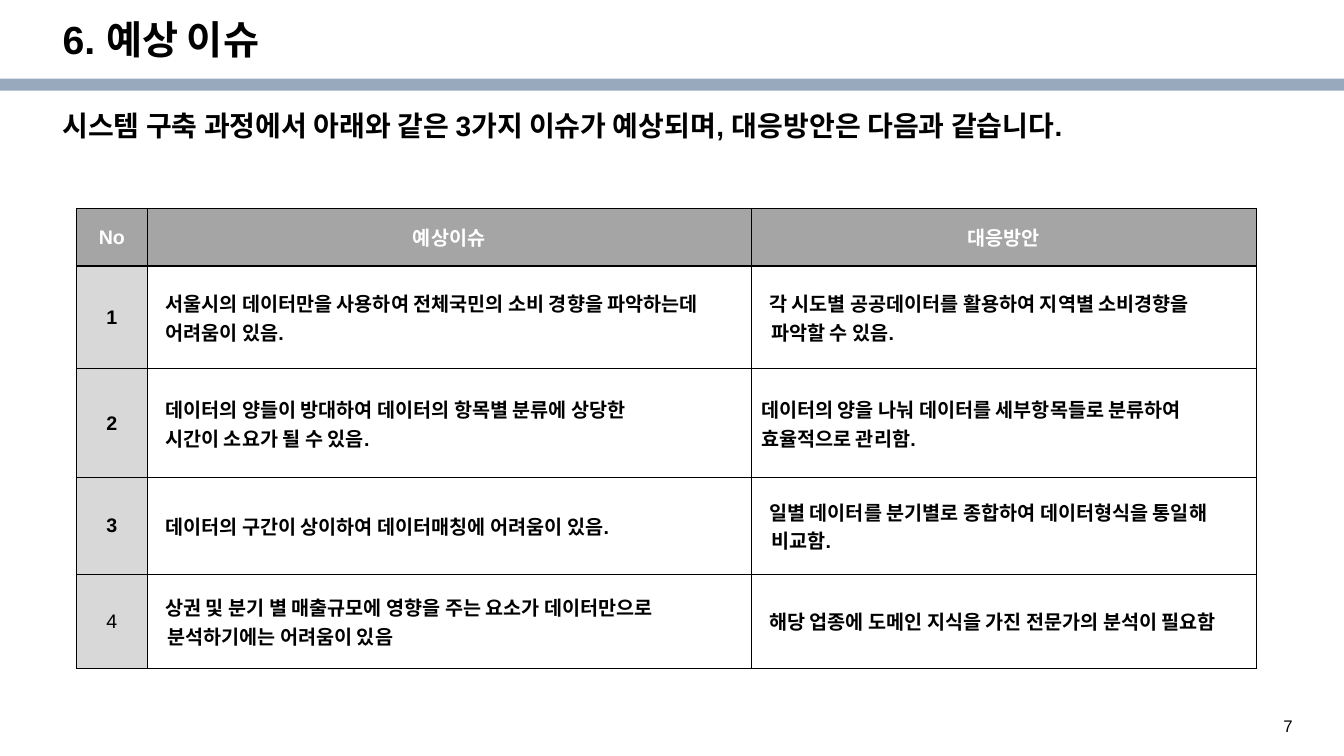
from lxml import etree
from pptx import Presentation
from pptx.dml.color import RGBColor
from pptx.enum.shapes import MSO_SHAPE
from pptx.enum.text import MSO_ANCHOR, PP_ALIGN
from pptx.oxml.ns import qn
from pptx.util import Inches, Pt

RECT = MSO_SHAPE.RECTANGLE
TOP, MIDDLE = MSO_ANCHOR.TOP, MSO_ANCHOR.MIDDLE
LEFT, CENTER = PP_ALIGN.LEFT, PP_ALIGN.CENTER
TITLE_ONLY = 5
FONT = "Arial"
COLORS = {"text": "000000", "white": "FFFFFF", "band": "98A8BD",
          "header": "A5A5A5", "number": "D8D8D8", "border": "000000"}
BORDER_PT = 1

COLUMN_WIDTHS = [0.7, 5.99, 5.01]
ROW_HEIGHTS = [0.57, 1.02, 1.08, 0.96, 0.93]
HEADERS = ["No", "예상이슈", "대응방안"]
# Left margin and first-line indent of a paragraph
FLUSH, BLOCK, HANGING = (0, 0), (0.08, 0), (0.1, -0.02)
# Each row: (issue paragraphs, indent), (response paragraphs, indent)
ISSUES = [
    ((["서울시의 데이터만을 사용하여 전체국민의 소비 경향을 파악하는데 어려움이 있음."], BLOCK),
     (["각 시도별 공공데이터를 활용하여 지역별 소비경향을 파악할 수 있음."], HANGING)),
    ((["데이터의 양들이 방대하여 데이터의 항목별 분류에 상당한",
       "시간이 소요가 될 수 있음."], HANGING),
     (["데이터의 양을 나눠 데이터를 세부항목들로 분류하여 효율적으로 관리함."], FLUSH)),
    ((["데이터의 구간이 상이하여 데이터매칭에 어려움이 있음."], HANGING),
     (["일별 데이터를 분기별로 종합하여 데이터형식을 통일해 비교함."], HANGING)),
    ((["상권 및 분기 별 매출규모에 영향을 주는 요소가 데이터만으로 분석하기에는 어려움이 있음"], HANGING),
     (["해당 업종에 도메인 지식을 가진 전문가의 분석이 필요함"], HANGING)),
]


def rgb(name):
    """Return the named colour."""
    return RGBColor.from_string(COLORS[name])


def set_all(obj, **values):
    """Set several attributes of one object."""
    for key, value in values.items():
        setattr(obj, key, value)


class SlideBuilder:
    """Holds the text style and the current slide."""

    def __init__(self, prs):
        """Add a title-only slide."""
        self.s = prs.slides.add_slide(prs.slide_layouts[TITLE_ONLY])

    def fill_text(self, tf, lines, size, color="text", bold=True, align=LEFT,
                  spacing=1.0, indent=FLUSH):
        """Fill a text frame with one paragraph per line."""
        for i, line in enumerate(lines):
            p = tf.paragraphs[0] if i == 0 else tf.add_paragraph()
            set_all(p, alignment=align, line_spacing=spacing)
            if indent != FLUSH:
                for key, value in zip(("marL", "indent"), indent):
                    p._p.get_or_add_pPr().set(key, str(Inches(value)))
            r = p.add_run()
            r.text = line
            set_all(r.font, name=FONT, size=Pt(size), bold=bold)
            r.font.color.rgb = rgb(color)

    def place(self, sp, box, text, size, anchor=TOP, **style):
        """Position a text shape and fill in its text."""
        for key, value in zip(("left", "top", "width", "height"), box):
            setattr(sp, key, Inches(value))
        tf = sp.text_frame
        set_all(tf, word_wrap=True, vertical_anchor=anchor,
                margin_left=Inches(0.1), margin_right=Inches(0.1),
                margin_top=Inches(0.05), margin_bottom=Inches(0.05))
        self.fill_text(tf, [text], size, **style)

    def title(self, box, text, size):
        """Format the title placeholder."""
        self.place(self.s.shapes.title, box, text, size, MIDDLE, spacing=0.9)

    def text(self, box, text, size, **style):
        """Add a text box."""
        sp = self.s.shapes.add_textbox(*map(Inches, box))
        self.place(sp, box, text, size, **style)

    def band(self, box, color):
        """Add a plain filled rectangle."""
        sp = self.s.shapes.add_shape(RECT, *map(Inches, box))
        sp.shadow.inherit = False
        sp.fill.solid()
        sp.fill.fore_color.rgb = rgb(color)
        sp.line.fill.background()

    def table(self, left, top, widths, heights):
        """Add an unbanded table with the given column and row sizes."""
        frame = self.s.shapes.add_table(
            len(heights), len(widths), Inches(left), Inches(top),
            Inches(sum(widths)), Inches(sum(heights)))
        table = frame.table
        set_all(table, first_row=False, horz_banding=False)
        for column, width in zip(table.columns, widths):
            column.width = Inches(width)
        for row, height in zip(table.rows, heights):
            row.height = Inches(height)
        return table

    def cell(self, cell, lines, fill=None, margins=(0.1, 0.05), **style):
        """Fill and format one table cell."""
        x, y = map(Inches, margins)
        set_all(cell, vertical_anchor=MIDDLE, margin_left=x, margin_right=x,
                margin_top=y, margin_bottom=y)
        self.fill_text(cell.text_frame, lines, 14, **style)
        self.borders(cell)
        if fill:
            cell.fill.solid()
            cell.fill.fore_color.rgb = rgb(fill)
        else:
            cell.fill.background()

    def borders(self, cell):
        """Draw all four borders of a cell."""
        tc_pr = cell._tc.get_or_add_tcPr()
        for side in ("a:lnL", "a:lnR", "a:lnT", "a:lnB"):
            ln = etree.SubElement(tc_pr, qn(side), w=str(Pt(BORDER_PT)))
            fill = etree.SubElement(ln, qn("a:solidFill"))
            etree.SubElement(fill, qn("a:srgbClr"), val=COLORS["border"])


def build_issue_table(b):
    """Build the table of expected issues and responses."""
    table = b.table(0.76, 2.07, COLUMN_WIDTHS, ROW_HEIGHTS)
    for col, header in enumerate(HEADERS):
        b.cell(table.cell(0, col), [header], "header", color="white", align=CENTER)
    for row, entries in enumerate(ISSUES, start=1):
        b.cell(table.cell(row, 0), [str(row)], "number", (0.05, 0.05),
               align=CENTER, bold=row < len(ISSUES))
        for col, (lines, indent) in enumerate(entries, start=1):
            b.cell(table.cell(row, col), lines, margins=(0.1, 0.04), indent=indent)


def main():
    """Build and save the slide."""
    prs = Presentation()
    set_all(prs, slide_width=Inches(13.33), slide_height=Inches(7.5))
    b = SlideBuilder(prs)
    b.band((0, 0.78, 13.33, 0.12), "band")
    b.text((12.63, 7.05, 0.52, 0.27), "7", 12, bold=False)
    b.title((0.52, 0.15, 11.5, 0.53), "6. 예상 이슈", 28)
    b.text((0.52, 1.06, 12.01, 0.71),
           "시스템 구축 과정에서 아래와 같은 3가지 이슈가 예상되며, 대응방안은 다음과 같습니다.",
           20, spacing=0.9)
    build_issue_table(b)
    prs.save("out.pptx")


main()
